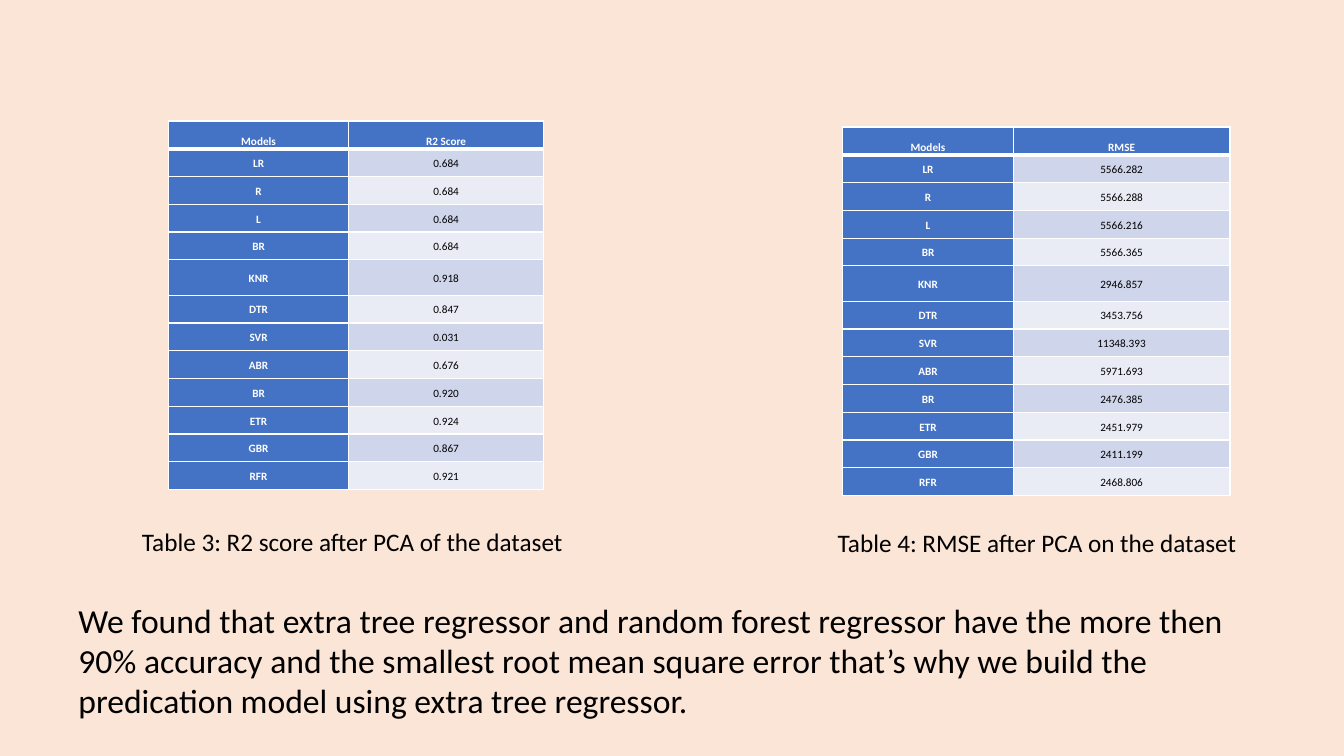
from dataclasses import dataclass

from lxml.etree import SubElement
from pptx import Presentation
from pptx.dml.color import RGBColor
from pptx.enum.text import MSO_ANCHOR, MSO_AUTO_SIZE, PP_ALIGN
from pptx.oxml.ns import qn
from pptx.util import Inches, Pt


@dataclass(frozen=True)
class Theme:
    font: str = "Calibri"
    background: str = "FBE5D6"
    text: str = "000000"
    white: str = "FFFFFF"
    accent: str = "4472C4"
    bands: tuple = ("CFD5EA", "E9EBF5")
    cell_size: int = 8
    caption_size: int = 18
    body_size: int = 24
    grid_width: int = 1
    header_rule: int = 3


MODELS = ["LR", "R", "L", "BR", "KNR", "DTR", "SVR", "ABR", "BR", "ETR", "GBR", "RFR"]
R2_SCORES = ["0.684", "0.684", "0.684", "0.684", "0.918", "0.847",
             "0.031", "0.676", "0.920", "0.924", "0.867", "0.921"]
RMSES = ["5566.282", "5566.288", "5566.216", "5566.365", "2946.857", "3453.756",
         "11348.393", "5971.693", "2476.385", "2451.979", "2411.199", "2468.806"]
CONCLUSION = (
    "We found that extra tree regressor and random forest regressor have the more then "
    "90% accuracy and the smallest root mean square error that’s why we build the "
    "predication model using extra tree regressor."
)
TABLE_HEIGHT = 3.66
TALL_ROW, TALL_HEIGHT = MODELS.index("KNR") + 1, 0.35


class SlideBuilder:
    def __init__(self, prs, theme):
        self.theme = theme
        self.s = prs.slides.add_slide(prs.slide_layouts[6])
        fill = self.s.background.fill
        fill.solid()
        fill.fore_color.rgb = RGBColor.from_string(theme.background)

    def add_run(self, p, text, size, color, bold=False):
        r = p.add_run()
        r.text = text
        for name, value in {"name": self.theme.font, "size": Pt(size), "bold": bold}.items():
            setattr(r.font, name, value)
        r.font.color.rgb = RGBColor.from_string(color)

    def text(self, box, text, size, wrap):
        tf = self.s.shapes.add_textbox(*map(Inches, box)).text_frame
        tf.word_wrap = wrap
        tf.auto_size = MSO_AUTO_SIZE.SHAPE_TO_FIT_TEXT
        self.add_run(tf.paragraphs[0], text, size, self.theme.text)

    def borders(self, cell, row):
        """Draw the white grid, with a heavier rule under the header."""
        t = self.theme
        widths = dict.fromkeys(("lnL", "lnR", "lnT", "lnB"), t.grid_width)
        if row < 2:
            widths["lnB" if row == 0 else "lnT"] = t.header_rule
        tcPr = cell._tc.get_or_add_tcPr()
        for tag, width in widths.items():
            ln = SubElement(tcPr, qn(f"a:{tag}"), w=str(Pt(width)))
            SubElement(SubElement(ln, qn("a:solidFill")), qn("a:srgbClr"), val=t.white)

    def cell(self, cell, text, row, col):
        t = self.theme
        strong = row == 0 or col == 0
        self.borders(cell, row)
        cell.fill.solid()
        fill = t.accent if strong else t.bands[(row - 1) % 2]
        cell.fill.fore_color.rgb = RGBColor.from_string(fill)
        style = {
            "margin_left": Inches(0.07), "margin_right": Inches(0.07),
            "margin_top": 0, "margin_bottom": 0,
            "vertical_anchor": MSO_ANCHOR.BOTTOM if row == 0 else MSO_ANCHOR.MIDDLE,
        }
        for name, value in style.items():
            setattr(cell, name, value)
        p = cell.text_frame.paragraphs[0]
        p.alignment, p.line_spacing = PP_ALIGN.CENTER, 1.15
        self.add_run(p, text, t.cell_size, t.white if strong else t.text, strong)

    def table(self, left, top, col_widths, heading, values):
        rows = [("Models", heading), *zip(MODELS, values)]
        box = map(Inches, (left, top, sum(col_widths), TABLE_HEIGHT))
        table = self.s.shapes.add_table(len(rows), 2, *box).table
        table.first_col = True
        for column, width in zip(table.columns, col_widths):
            column.width = Inches(width)
        row_height = (TABLE_HEIGHT - TALL_HEIGHT) / (len(rows) - 1)
        for i, row in enumerate(rows):
            table.rows[i].height = Inches(TALL_HEIGHT if i == TALL_ROW else row_height)
            for j, text in enumerate(row):
                self.cell(table.cell(i, j), text, i, j)


def main():
    prs = Presentation()
    prs.slide_width, prs.slide_height = Inches(13.33), Inches(7.5)
    theme = Theme()
    slide = SlideBuilder(prs, theme)
    slide.table(1.67, 1.2, (1.79, 1.93), "R2 Score", R2_SCORES)
    slide.table(8.36, 1.26, (1.69, 2.15), "RMSE", RMSES)
    slide.text((8.21, 5.18, 4.21, 0.71), "Table 4: RMSE after PCA on the dataset",
               theme.caption_size, wrap=False)
    slide.text((1.31, 5.17, 4.43, 0.71), "Table 3: R2 score after PCA of the dataset",
               theme.caption_size, wrap=False)
    slide.text((0.68, 5.9, 11.74, 1.31), CONCLUSION, theme.body_size, wrap=True)
    prs.save("out.pptx")


if __name__ == "__main__":
    main()
